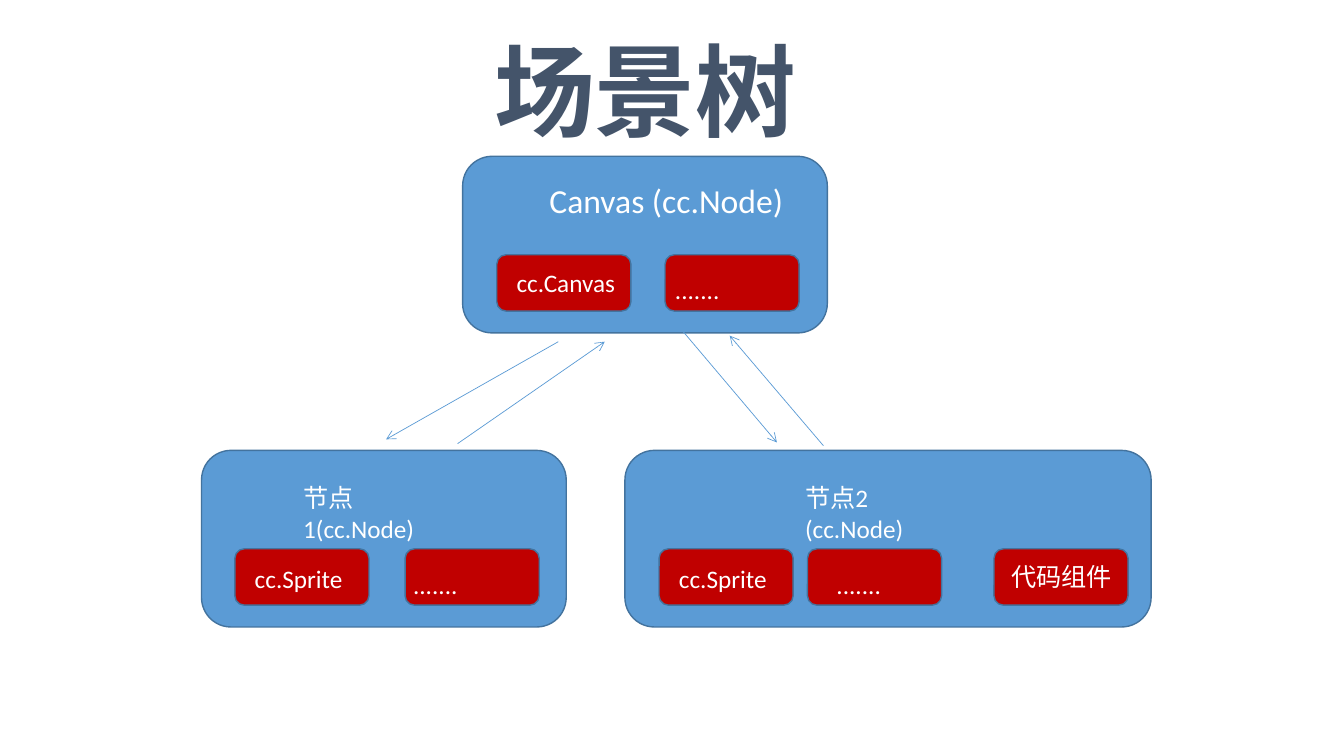
from lxml.etree import SubElement
from pptx import Presentation
from pptx.dml.color import RGBColor
from pptx.enum.shapes import MSO_CONNECTOR as Connector, MSO_SHAPE as Preset
from pptx.enum.text import MSO_AUTO_SIZE as AutoSize, PP_ALIGN as Align
from pptx.oxml.ns import qn
from pptx.util import Cm, Pt

COLORS = {
    "title": "44546A",
    "node": "5B9BD5",
    "outline": "43739E",
    "component": "C00000",
    "text": "FFFFFF",
}
FONT = "Calibri"
NODE_HEIGHT = 4.45
COMPONENT_TOP = 2.48
COMPONENT_SIZE = (3.38, 1.42)


def color(name):
    return RGBColor.from_string(COLORS[name])


def add_label(slide, box, text, size=18, fill="text", align=Align.LEFT, bold=False, wrap=False):
    text_frame = slide.shapes.add_textbox(*map(Cm, box)).text_frame
    text_frame.text = text
    text_frame.word_wrap = wrap
    text_frame.auto_size = AutoSize.SHAPE_TO_FIT_TEXT
    paragraph = text_frame.paragraphs[0]
    paragraph.alignment = align
    font = paragraph.runs[0].font
    font.name = FONT
    font.size = Pt(size)
    font.bold = bold
    font.color.rgb = color(fill)


def add_rounded_box(slide, box, fill):
    shape = slide.shapes.add_shape(Preset.ROUNDED_RECTANGLE, *map(Cm, box))
    shape.shadow.inherit = False
    shape.fill.solid()
    shape.fill.fore_color.rgb = color(fill)
    shape.line.color.rgb = color("outline")
    shape.line.width = Pt(1)


def add_component(slide, left, top, text, indent, drop, label_width):
    add_rounded_box(slide, (left, top, *COMPONENT_SIZE), "component")
    add_label(slide, (left + indent, top + drop, label_width, 1.02), text)


def add_node(slide, box, heading, heading_box, components, **heading_style):
    left, top = box[:2]
    add_rounded_box(slide, box, "node")
    indent, drop, width, height = heading_box
    add_label(slide, (left + indent, top + drop, width, height), heading, **heading_style)
    for offset, *component in components:
        add_component(slide, left + offset, top + COMPONENT_TOP, *component)


def add_arrows(slide, left, top, arrows):
    for start_x, start_y, end_x, end_y in arrows:
        connector = slide.shapes.add_connector(
            Connector.STRAIGHT,
            Cm(left + start_x), Cm(top + start_y),
            Cm(left + end_x), Cm(top + end_y),
        )
        connector.line.color.rgb = color("node")
        connector.line.width = Pt(0.5)
        properties = connector._element.spPr
        SubElement(properties.find(qn("a:ln")), qn("a:tailEnd"), type="arrow")
        SubElement(properties, qn("a:effectLst"))


def add_scene_tree(slide):
    add_label(slide, (12.19, 0.61, 8.15, 3.33), "场景树", 72, "title", Align.CENTER, bold=True)
    add_node(
        slide, (11.66, 3.94, 9.19, NODE_HEIGHT),
        "Canvas (cc.Node)", (1.93, 0.48, 6.4, 1.27),
        [(0.86, "cc.Canvas", 0.25, 0.2, 3), (5.1, ".......", 0, 0.38, 1.63)],
        size=24, align=Align.CENTER,
    )
    add_node(
        slide, (5.08, 11.35, 9.19, NODE_HEIGHT),
        "节点1(cc.Node)", (2.31, 0.69, 4.4, 1.02),
        [(0.84, "cc.Sprite", 0.25, 0.23, 2.72), (5.13, ".......", -0.05, 0.38, 1.63)],
        wrap=True,
    )
    add_node(
        slide, (15.75, 11.35, 13.26, NODE_HEIGHT),
        "节点2 (cc.Node)", (4.29, 0.69, 4.4, 1.02),
        [
            (0.86, "cc.Sprite", 0.25, 0.23, 2.72),
            (4.6, ".......", 0.48, 0.38, 1.63),
            (9.3, "代码组件", 0.18, 0.2, 3.05),
        ],
        wrap=True,
    )
    add_arrows(slide, 9.73, 8.36, [
        (4.34, 0.25, 0, 2.71),
        (1.8, 2.82, 5.51, 0.25),
        (7.49, 0, 9.85, 2.79),
        (11.02, 2.87, 8.66, 0.1),
    ])


def main():
    presentation = Presentation()
    presentation.slide_width = Cm(33.87)
    presentation.slide_height = Cm(19.05)
    slide = presentation.slides.add_slide(presentation.slide_layouts[6])
    add_scene_tree(slide)
    presentation.save("out.pptx")


if __name__ == "__main__":
    main()
